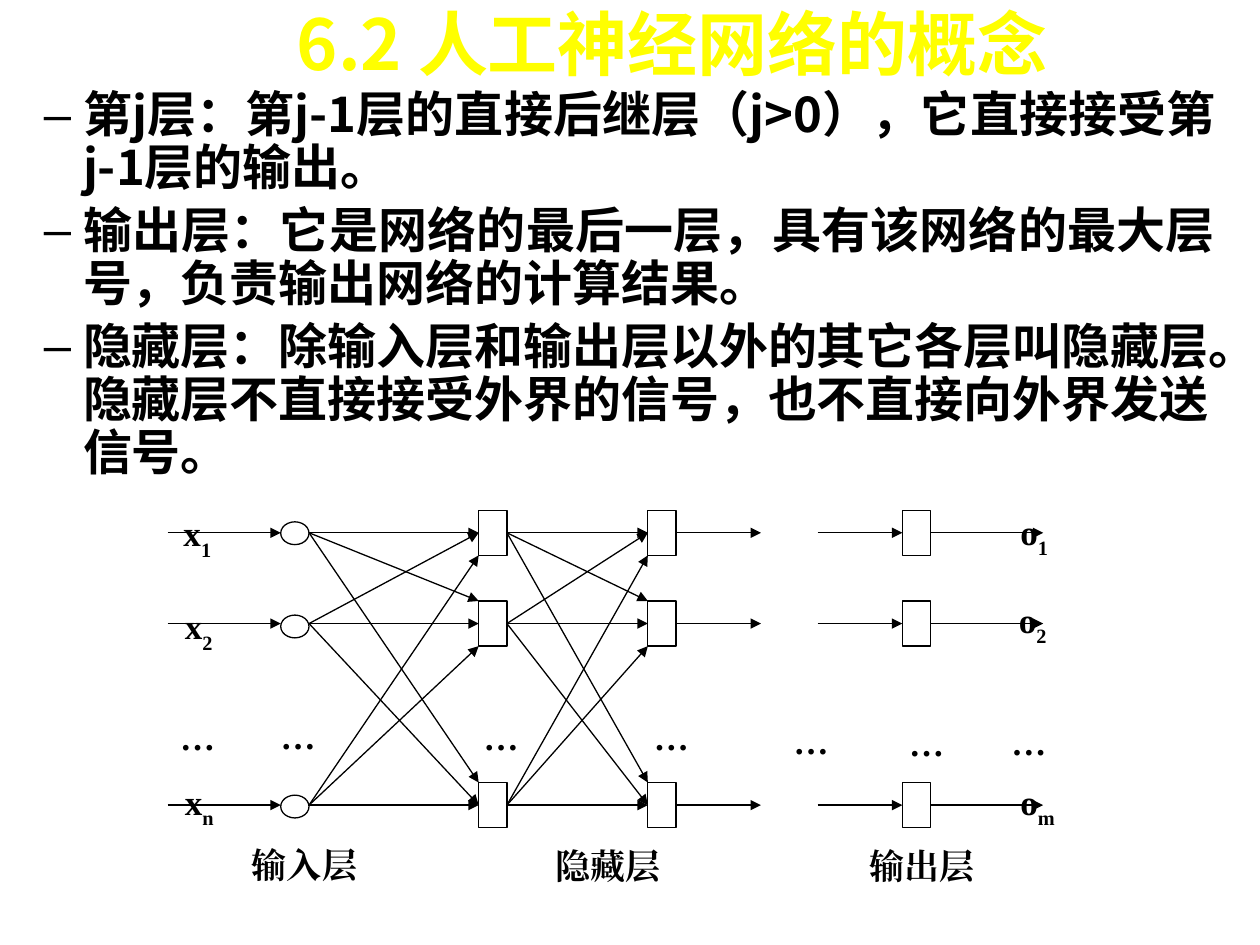
from dataclasses import dataclass
from itertools import product
from typing import Optional

from lxml import etree
from pptx import Presentation
from pptx.dml.color import RGBColor
from pptx.enum.shapes import MSO_CONNECTOR, MSO_SHAPE
from pptx.enum.text import MSO_ANCHOR, MSO_AUTO_SIZE, PP_ALIGN
from pptx.oxml.ns import qn
from pptx.shapes.autoshape import Shape
from pptx.slide import Slide
from pptx.text.text import _Paragraph as Paragraph
from pptx.util import Cm, Pt

STRAIGHT = MSO_CONNECTOR.STRAIGHT
OVAL, RECTANGLE = MSO_SHAPE.OVAL, MSO_SHAPE.RECTANGLE
MIDDLE, TOP = MSO_ANCHOR.MIDDLE, MSO_ANCHOR.TOP
NO_FIT, GROW = MSO_AUTO_SIZE.NONE, MSO_AUTO_SIZE.SHAPE_TO_FIT_TEXT
LEFT, CENTER, JUSTIFY = PP_ALIGN.LEFT, PP_ALIGN.CENTER, PP_ALIGN.JUSTIFY
LEFT_SIDE, RIGHT_SIDE = 1, 3


@dataclass(frozen=True)
class Theme:
    ink: RGBColor = RGBColor(0, 0, 0)
    paper: RGBColor = RGBColor(255, 255, 255)
    accent: RGBColor = RGBColor(255, 255, 0)
    heading_font: str = "Noto Sans CJK SC"
    label_font: str = "Times New Roman"
    title_size: Pt = Pt(40)
    body_size: Pt = Pt(28)
    label_size: Pt = Pt(20)
    line_width: Pt = Pt(0.75)


@dataclass(frozen=True)
class Label:
    text: str
    left: float
    top: float
    width: float = 1.22
    subscript: str = ""


@dataclass(frozen=True)
class Node:
    left: float
    middle: float
    shape: Shape

    @property
    def right(self) -> float:
        return self.left + NODE_WIDTH


THEME = Theme()
NODE_WIDTH, BOX_HEIGHT, OVAL_HEIGHT = 0.57, 0.91, 0.46
LABEL_HEIGHT = 1.09
ROWS = [10.74 + 1.83 * step for step in (0, 1, 3)]
OVAL_TOPS = (10.52, 12.4, 16.03)
INPUT_LEFT, HIDDEN_LEFTS, OUTPUT_LEFT = 5.66, (9.65, 13.06), 18.19
INPUT_START, HIDDEN_END, OUTPUT_START, OUTPUT_END = 3.38, 15.34, 16.48, 21.03

TITLE = "6.2 人工神经网络的概念"
BULLETS = (
    ("第j层：第j-1层的直接后继层（j>0），它直接接受第j-1层的输出。", JUSTIFY),
    ("输出层：它是网络的最后一层，具有该网络的最大层号，负责输出网络的计算结果。", JUSTIFY),
    ("隐藏层：除输入层和输出层以外的其它各层叫隐藏层。"
     "隐藏层不直接接受外界的信号，也不直接向外界发送信号。", LEFT),
)
ELLIPSES = ((3.38, 14.3), (5.41, 14.27), (9.5, 14.3), (12.93, 14.3),
            (15.75, 14.38), (18.08, 14.43), (20.14, 14.4))
LABELS = (
    Label("输入层", 4.83, 16.87, 2.64),
    Label("隐藏层", 10.95, 16.9, 2.64),
    Label("输出层", 17.27, 16.9, 2.64),
    Label("x", 3.45, 10.19, 1.09, "1"),
    Label("x", 3.48, 12.07, 1.09, "2"),
    Label("x", 3.48, 15.6, 1.12, "n"),
    Label("o", 20.32, 10.16, 1.09, "1"),
    Label("o", 20.29, 11.94, 1.09, "2"),
    Label("o", 20.32, 15.6, 1.24, "m"),
    *(Label("…", left, top) for left, top in ELLIPSES),
)


def style_paragraph(para: Paragraph, font: str, size: Pt, color: RGBColor) -> None:
    para.font.size = size
    para.font.bold = True
    para.font.color.rgb = color
    para.font.name = font
    defaults = para._p.get_or_add_pPr().get_or_add_defRPr()
    etree.SubElement(defaults, qn("a:ea"), typeface=font)


def place(shape: Shape, left: float, top: float, width: float, height: float) -> None:
    shape.left, shape.top = Cm(left), Cm(top)
    shape.width, shape.height = Cm(width), Cm(height)


def fill_title(shape: Shape) -> None:
    place(shape, 2.12, 0, 22.86, 1.7)
    frame = shape.text_frame
    frame.text = TITLE
    frame.auto_size, frame.vertical_anchor = NO_FIT, MIDDLE
    para = frame.paragraphs[0]
    para.alignment = CENTER
    style_paragraph(para, THEME.heading_font, THEME.title_size, THEME.accent)


def fill_body(shape: Shape) -> None:
    place(shape, -0.64, 1.7, 25.4, 9.32)
    frame = shape.text_frame
    frame.text = "\n".join(text for text, _ in BULLETS)
    frame.auto_size, frame.vertical_anchor = NO_FIT, TOP
    for para, (_, alignment) in zip(frame.paragraphs, BULLETS):
        para.level = 1
        para.alignment = alignment
        para.line_spacing = 0.9
        properties = para._p.get_or_add_pPr()
        properties.set("marL", str(Cm(2.06)))
        properties.set("indent", str(Cm(-0.79)))
        etree.SubElement(properties, qn("a:buChar"), char="–")
        style_paragraph(para, THEME.heading_font, THEME.body_size, THEME.ink)


def add_label(slide: Slide, label: Label) -> None:
    box = slide.shapes.add_textbox(
        Cm(label.left), Cm(label.top), Cm(label.width), Cm(LABEL_HEIGHT))
    frame = box.text_frame
    frame.word_wrap, frame.auto_size = False, GROW
    para = frame.paragraphs[0]
    para.add_run().text = label.text
    if label.subscript:
        span = para.add_run()
        span.text = label.subscript
        span._r.get_or_add_rPr().set("baseline", "-30000")
    style_paragraph(para, THEME.label_font, THEME.label_size, THEME.ink)


def add_node(slide: Slide, kind: MSO_SHAPE, left: float, top: float,
             height: float, middle: float) -> Node:
    shape = slide.shapes.add_shape(
        kind, Cm(left), Cm(top), Cm(NODE_WIDTH), Cm(height))
    shape.shadow.inherit = False
    shape.fill.solid()
    shape.fill.fore_color.rgb = THEME.paper
    shape.line.color.rgb = THEME.ink
    shape.line.width = THEME.line_width
    return Node(left, middle, shape)


def add_box_layer(slide: Slide, left: float) -> list[Node]:
    return [add_node(slide, RECTANGLE, left, row - BOX_HEIGHT / 2, BOX_HEIGHT, row)
            for row in ROWS]


def add_arrow(slide: Slide, start: tuple[float, float], end: tuple[float, float],
              source: Optional[Node] = None, target: Optional[Node] = None) -> None:
    arrow = slide.shapes.add_connector(STRAIGHT, *(Cm(value) for value in start + end))
    if source and source.shape.auto_shape_type == RECTANGLE:
        arrow.begin_connect(source.shape, RIGHT_SIDE)
    if target:
        arrow.end_connect(target.shape, LEFT_SIDE)
    arrow.line.color.rgb = THEME.ink
    arrow.line.width = THEME.line_width
    etree.SubElement(arrow.line._get_or_add_ln(), qn("a:tailEnd"), type="triangle")
    etree.SubElement(arrow._element.spPr, qn("a:effectLst"))


def connect_layers(slide: Slide, sources: list[Node], targets: list[Node]) -> None:
    last = len(sources) - 1
    for (i, source), (j, target) in product(enumerate(sources), enumerate(targets)):
        to_corner = i != j and i in (0, last)
        shift = (BOX_HEIGHT / 2 if i else -BOX_HEIGHT / 2) if to_corner else 0
        add_arrow(slide, (source.right, source.middle),
                  (target.left, target.middle + shift),
                  source, None if to_corner else target)


def draw_network(slide: Slide) -> None:
    inputs = [add_node(slide, OVAL, INPUT_LEFT, top, OVAL_HEIGHT, row)
              for top, row in zip(OVAL_TOPS, ROWS)]
    first, second = (add_box_layer(slide, left) for left in HIDDEN_LEFTS)
    outputs = add_box_layer(slide, OUTPUT_LEFT)
    connect_layers(slide, inputs, first)
    connect_layers(slide, first, second)
    for row, hidden, output in zip(ROWS, second, outputs):
        add_arrow(slide, (INPUT_START, row), (INPUT_LEFT, row))
        add_arrow(slide, (hidden.right, row), (HIDDEN_END, row), source=hidden)
        add_arrow(slide, (OUTPUT_START, row), (output.left, row), target=output)
        add_arrow(slide, (output.right, row), (OUTPUT_END, row), source=output)
    for label in LABELS:
        add_label(slide, label)


def main() -> None:
    deck = Presentation()
    deck.slide_width, deck.slide_height = Cm(25.4), Cm(19.05)
    page = deck.slides.add_slide(deck.slide_layouts[1])
    fill_body(page.placeholders[1])
    draw_network(page)
    fill_title(page.shapes.title)
    deck.save("out.pptx")


if __name__ == "__main__":
    main()
